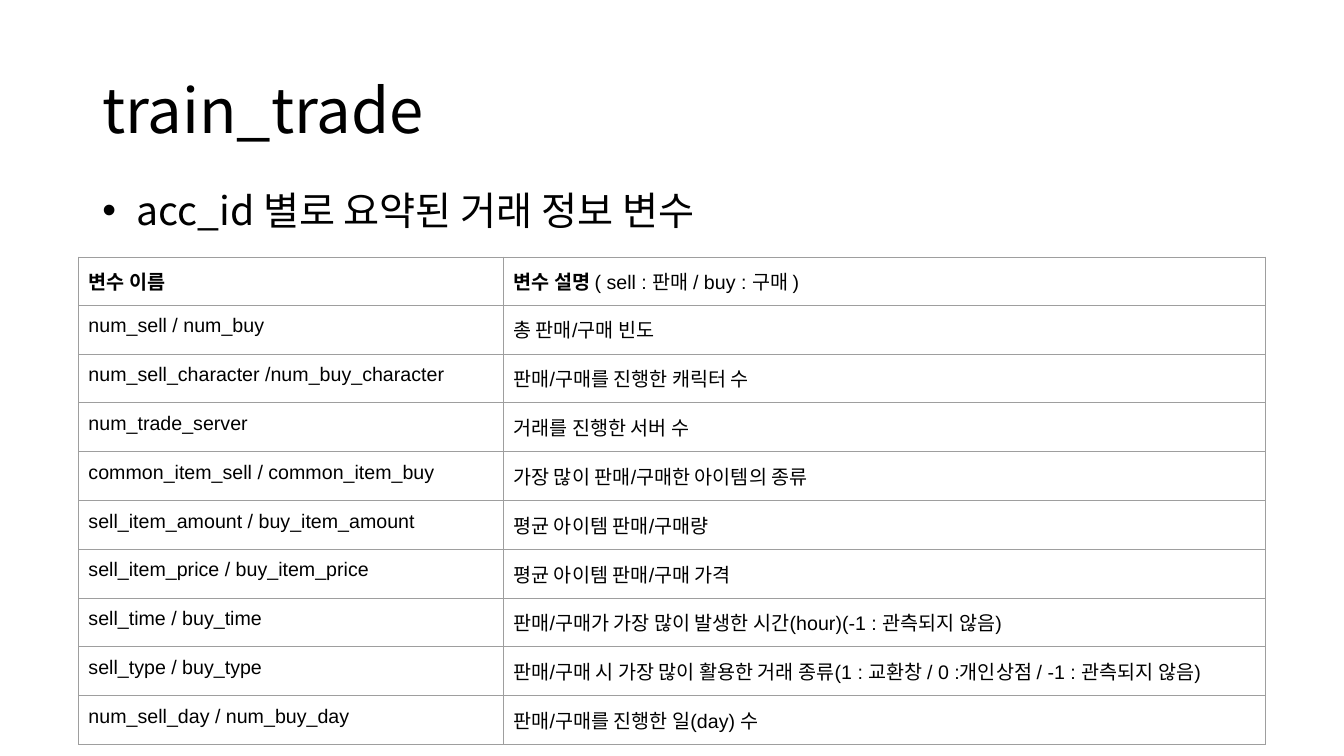
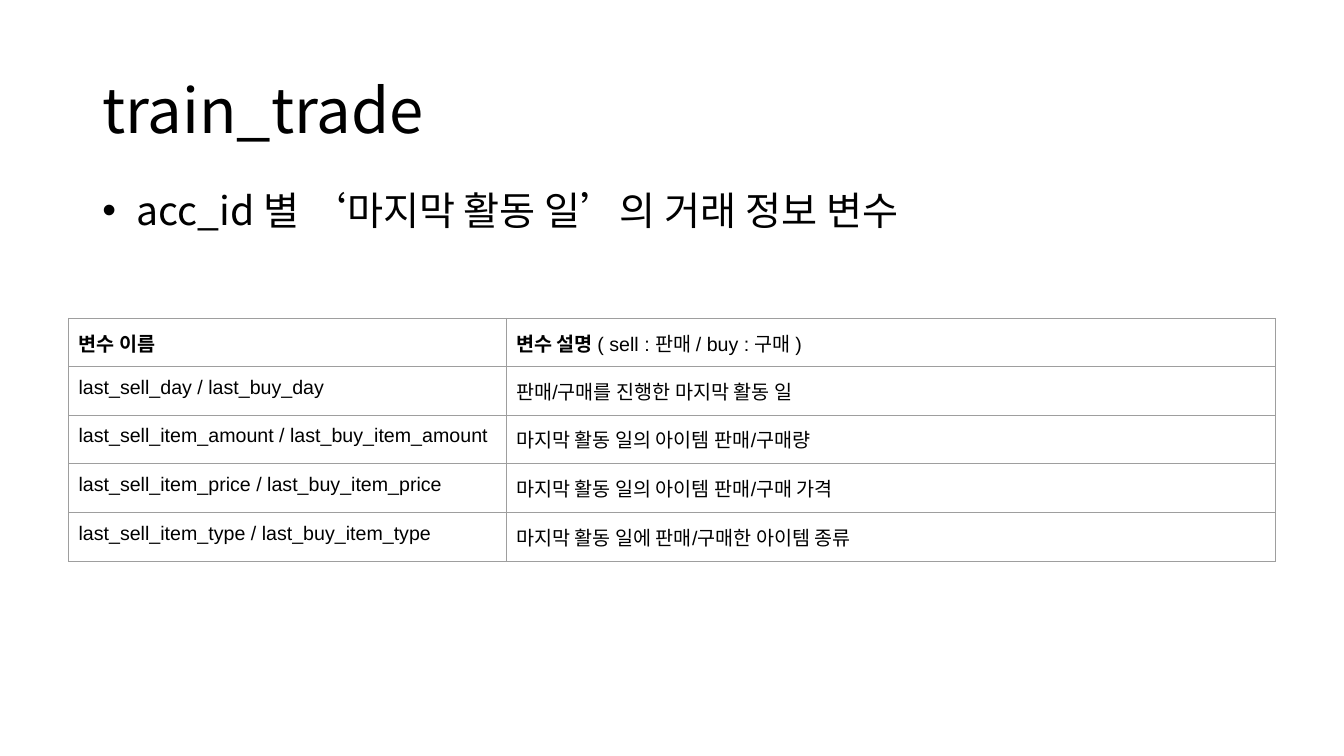
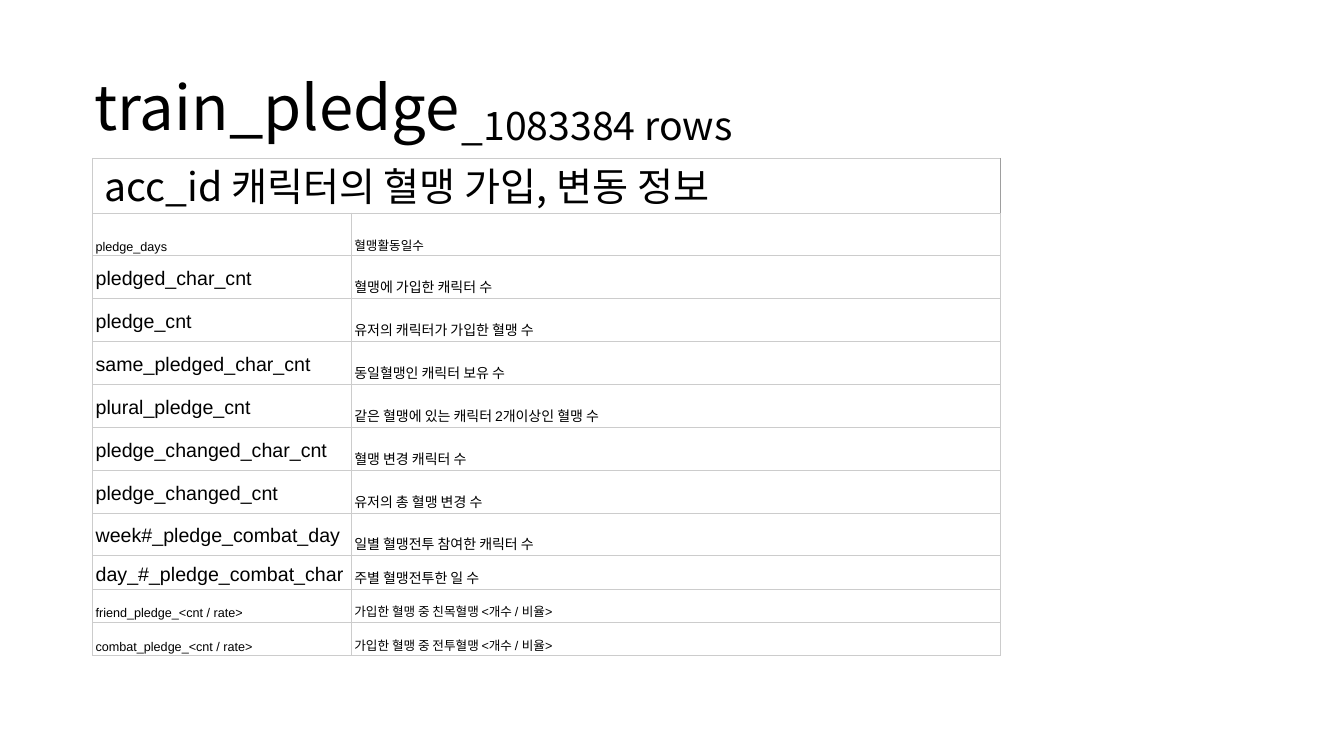
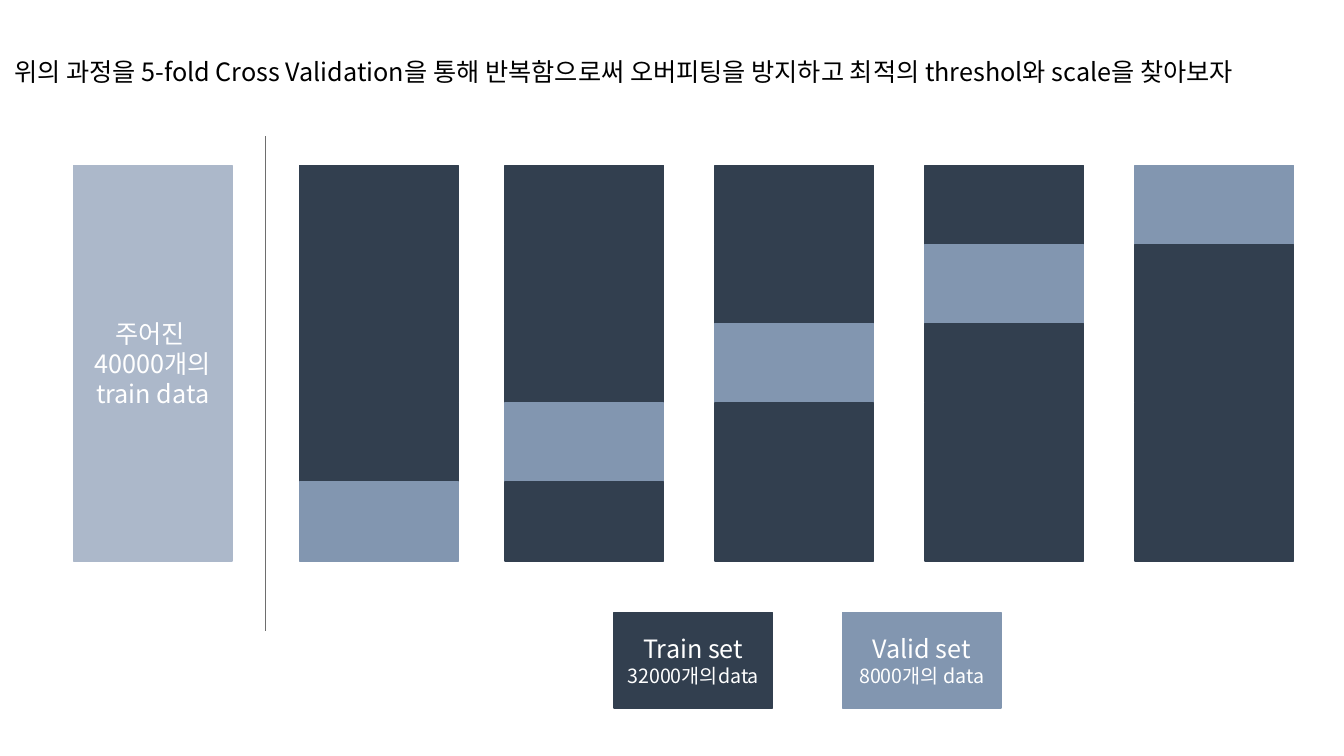
from dataclasses import dataclass

from lxml import etree
from pptx import Presentation
from pptx.dml.color import RGBColor
from pptx.enum.shapes import MSO_CONNECTOR, MSO_SHAPE
from pptx.enum.text import MSO_ANCHOR as Anchor, PP_ALIGN as Align
from pptx.oxml.ns import qn
from pptx.util import Cm, Pt


@dataclass(frozen=True)
class Theme:
    text: str = "000000"
    light_text: str = "FFFFFF"
    train: str = "323F4F"
    valid: str = "8296B0"
    given: str = "ACB8CA"
    divider: str = "6E6E6E"
    grid: str = "9E9E9E"
    pale_grid: str = "CCCCCC"
    sans: str = "Noto Sans CJK KR"
    latin: str = "Arial"
    title: int = 44
    lead: int = 28
    note: int = 18
    cell: int = 14
    small: int = 10
    tiny: int = 9


THEME = Theme()
TEXT_INSETS = (0.25, 0.13, 0.25, 0.13)
ROOMY_INSETS = (0.25, 0.25, 0.25, 0.25)
TIGHT_INSETS = (0.07, 0.05, 0.07, 0.05)
TITLE_BOX = (2.33, 1.01, 29.21, 3.68)
BODY_BOX = (2.33, 4.69, 29.21, 12.09)


def cm_box(box):
    return [Cm(length) for length in box]


def set_insets(holder, insets):
    for side, length in zip(("left", "top", "right", "bottom"), insets):
        setattr(holder, f"margin_{side}", Cm(length))


# Text

def style(size, name=THEME.sans, color=THEME.text, bold=False):
    return {"size": Pt(size), "name": name, "bold": bold, "color": color}


def add_span(para, text, look):
    span = para.add_run()
    span.text = text
    for key, value in look.items():
        if key == "color":
            span.font.color.rgb = RGBColor.from_string(value)
        else:
            setattr(span.font, key, value)
    east_asian = etree.SubElement(span.font._element, qn("a:ea"))
    east_asian.set("typeface", THEME.sans)


def fill_text(frame, paras, **layout):
    """Each para is a list of (text, style) pairs."""
    for index, spans in enumerate(paras):
        para = frame.add_paragraph() if index else frame.paragraphs[0]
        for key, value in layout.items():
            setattr(para, key, value)
        for text, look in spans:
            add_span(para, text, look)


def add_bullet(para):
    props = para._p.get_or_add_pPr()
    props.set("marL", str(Cm(0.64)))
    props.set("indent", str(-Cm(0.64)))
    for tag, key, value in (("a:buFont", "typeface", THEME.latin), ("a:buChar", "char", "•")):
        etree.SubElement(props, qn(tag)).set(key, value)


def text_box(page, box, text, look, anchor=Anchor.TOP, spacing=0.9):
    frame = page.shapes.add_textbox(*cm_box(box)).text_frame
    frame.word_wrap = True
    frame.vertical_anchor = anchor
    set_insets(frame, TEXT_INSETS)
    fill_text(frame, [[(text, look)]], line_spacing=spacing)
    return frame


def page_title(page, text, box=TITLE_BOX):
    text_box(page, box, text, style(THEME.title), Anchor.MIDDLE)


# Tables

def set_borders(cell, color, right=None):
    props = cell._tc.get_or_add_tcPr()
    for index, side in enumerate("LRTB"):
        line = etree.Element(qn(f"a:ln{side}"), w=str(Pt(0.75)))
        paint = etree.SubElement(line, qn("a:solidFill"))
        shade = right if right and side == "R" else color
        etree.SubElement(paint, qn("a:srgbClr")).set("val", shade)
        props.insert(index, line)


def plain_table(page, left, top, widths, heights):
    box = (left, top, sum(widths), sum(heights))
    table = page.shapes.add_table(len(heights), len(widths), *cm_box(box)).table
    table.first_row = table.horz_banding = False
    for column, width in zip(table.columns, widths):
        column.width = Cm(width)
    for row, height in zip(table.rows, heights):
        row.height = Cm(height)
    return table


def fill_cell(cell, spans, insets, border, anchor=Anchor.TOP, spacing=1.0, right=None):
    cell.fill.background()
    cell.vertical_anchor = anchor
    set_insets(cell, insets)
    set_borders(cell, border, right)
    fill_text(cell.text_frame, [spans], line_spacing=spacing)


def variable_table(page, left, top, widths, rows):
    plain = style(THEME.cell, THEME.latin)
    bold = {**plain, "bold": True}
    header = [
        [("변수 이름", bold)],
        [("변수 설명", bold), (" ( sell : 판매 / buy : 구매 )", plain)],
    ]
    lines = [header] + [[[(text, plain)] for text in row] for row in rows]
    # The header row is a little lower than the others
    heights = [1.21] + [1.23] * len(rows)
    table = plain_table(page, left, top, widths, heights)
    for row, line in enumerate(lines):
        for column, spans in enumerate(line):
            fill_cell(table.cell(row, column), spans, ROOMY_INSETS, THEME.grid)


def pledge_table(page, left, top, rows):
    heights = [1.38] + [1.08] * 8 + [0.84] * 3
    table = plain_table(page, left, top, (6.52, 16.36), heights)
    # Heading row across both columns
    heading = table.cell(0, 0)
    heading.merge(table.cell(0, 1))
    fill_cell(heading, [(" acc_id 캐릭터의 혈맹 가입, 변동 정보", style(THEME.lead))],
              TIGHT_INSETS, THEME.pale_grid, Anchor.TOP, 0.9, THEME.grid)
    set_borders(table.cell(0, 1), THEME.pale_grid, THEME.grid)
    # Variable rows: the first and the last two are in small type
    for row, line in enumerate(rows, 1):
        small = row in (1, len(rows) - 1, len(rows))
        sizes = (THEME.tiny, THEME.tiny) if small else (THEME.cell, THEME.small)
        anchors = (Anchor.BOTTOM if small else Anchor.MIDDLE, Anchor.BOTTOM)
        for column, text in enumerate(line):
            fill_cell(table.cell(row, column), [(text, style(sizes[column], THEME.latin))],
                      TIGHT_INSETS, THEME.pale_grid, anchors[column], 1.15)


# Cross validation parts

def block(page, box, color, paras=()):
    shape = page.shapes.add_shape(MSO_SHAPE.RECTANGLE, *cm_box(box))
    shape.shadow.inherit = False
    shape.fill.solid()
    shape.fill.fore_color.rgb = shape.line.color.rgb = RGBColor.from_string(color)
    shape.line.width = Pt(1)
    frame = shape.text_frame
    frame.word_wrap = True
    frame.vertical_anchor = Anchor.MIDDLE
    set_insets(frame, TEXT_INSETS)
    spans = [[(text, style(size, color=THEME.light_text))] for text, size in paras]
    fill_text(frame, spans, alignment=Align.CENTER)


def stack(page, box, colors):
    left, top, width, height = box
    step = height / len(colors)
    for index, color in enumerate(colors):
        block(page, (left, top + index * step, width, step), color)


def divider(page, left, top, bottom):
    line = page.shapes.add_connector(
        MSO_CONNECTOR.STRAIGHT, Cm(left), Cm(top), Cm(left), Cm(bottom))
    line.line.color.rgb = RGBColor.from_string(THEME.divider)
    line.line.width = Pt(0.75)
    etree.SubElement(line._element.spPr, qn("a:effectLst"))


# Slides

def trade_slide(page, lead, left, top, widths, rows):
    page_title(page, "train_trade")
    frame = text_box(page, BODY_BOX, lead, style(THEME.lead))
    add_bullet(frame.paragraphs[0])
    variable_table(page, left, top, widths, rows)


def pledge_slide(page, rows):
    page_title(page, "train_pledge", (2.13, 0.94, 29.21, 3.68))
    text_box(page, (11.38, 2.55, 14.6, 1.02), "_1083384 rows", style(THEME.lead))
    pledge_table(page, 2.34, 3.99, rows)


def folds_slide(page):
    text_box(page, (0.11, 1.3, 33.66, 1.02),
             "위의 과정을 5-fold Cross Validation을 통해 반복함으로써 오버피팅을 방지하고 "
             "최적의 threshol와 scale을 찾아보자", style(THEME.note), spacing=1.0)
    top, width, height = 4.17, 4.0, 9.97
    # Folds: the validation part climbs one step each time
    lefts = (7.55, 12.73, 18.02, 23.31, 28.6)
    for fold, left in enumerate(lefts):
        colors = [THEME.train] * len(lefts)
        colors[-1 - fold] = THEME.valid
        stack(page, (left, top, width, height), colors)
    # Legend
    for left, color, name, count in (
        (15.47, THEME.train, "Train set", "32000개의data"),
        (21.23, THEME.valid, "Valid set", "8000개의 data"),
    ):
        block(page, (left, 15.44, width, 2.4), color,
              [(name, THEME.note), (count, THEME.cell)])
    # Given data
    given = (1.85, top, width, height)
    stack(page, given, [THEME.given] * 5)
    block(page, (given[0], 7.8, width, 2.72), THEME.given,
          [("주어진 ", THEME.note), ("40000개의 train data", THEME.note)])
    divider(page, 6.69, 3.43, 15.9)


TRADE_ROWS = [
    ("num_sell / num_buy", "총 판매/구매 빈도"),
    ("num_sell_character /num_buy_character", "판매/구매를 진행한 캐릭터 수"),
    ("num_trade_server", "거래를 진행한 서버 수"),
    ("common_item_sell / common_item_buy", "가장 많이 판매/구매한 아이템의 종류"),
    ("sell_item_amount / buy_item_amount", "평균 아이템 판매/구매량"),
    ("sell_item_price / buy_item_price", "평균 아이템 판매/구매 가격"),
    ("sell_time / buy_time", "판매/구매가 가장 많이 발생한 시간(hour)(-1 : 관측되지 않음)"),
    ("sell_type / buy_type",
     "판매/구매 시 가장 많이 활용한 거래 종류(1 : 교환창 / 0 :개인상점 / -1 : 관측되지 않음)"),
    ("num_sell_day / num_buy_day", "판매/구매를 진행한 일(day) 수"),
]
LAST_DAY_ROWS = [
    ("last_sell_day / last_buy_day", "판매/구매를 진행한 마지막 활동 일"),
    ("last_sell_item_amount / last_buy_item_amount", "마지막 활동 일의 아이템 판매/구매량"),
    ("last_sell_item_price / last_buy_item_price", "마지막 활동 일의 아이템 판매/구매 가격"),
    ("last_sell_item_type / last_buy_item_type", "마지막 활동 일에 판매/구매한 아이템 종류"),
]
PLEDGE_ROWS = [
    ("pledge_days", "혈맹활동일수"),
    ("pledged_char_cnt", "혈맹에 가입한 캐릭터 수"),
    ("pledge_cnt", "유저의 캐릭터가 가입한 혈맹 수"),
    ("same_pledged_char_cnt", "동일혈맹인 캐릭터 보유 수"),
    ("plural_pledge_cnt", "같은 혈맹에 있는 캐릭터 2개이상인 혈맹 수"),
    ("pledge_changed_char_cnt", "혈맹 변경 캐릭터 수"),
    ("pledge_changed_cnt", "유저의 총 혈맹 변경 수"),
    ("week#_pledge_combat_day", "일별 혈맹전투 참여한 캐릭터 수"),
    ("day_#_pledge_combat_char", "주별 혈맹전투한 일 수"),
    ("friend_pledge_<cnt / rate>", "가입한 혈맹 중 친목혈맹 <개수 / 비율>"),
    ("combat_pledge_<cnt / rate>", "가입한 혈맹 중 전투혈맹 <개수 / 비율>"),
]


def main():
    deck = Presentation()
    deck.slide_width, deck.slide_height = Cm(33.87), Cm(19.05)
    pages = [deck.slides.add_slide(deck.slide_layouts[6]) for _ in range(4)]
    trade_slide(pages[0], " acc_id 별로 요약된 거래 정보 변수",
                1.98, 6.48, (10.71, 19.2), TRADE_ROWS)
    trade_slide(pages[1], " acc_id 별 ‘마지막 활동 일’의 거래 정보 변수",
                1.73, 8.02, (11.03, 19.38), LAST_DAY_ROWS)
    pledge_slide(pages[2], PLEDGE_ROWS)
    folds_slide(pages[3])
    deck.save("out.pptx")


if __name__ == "__main__":
    main()
